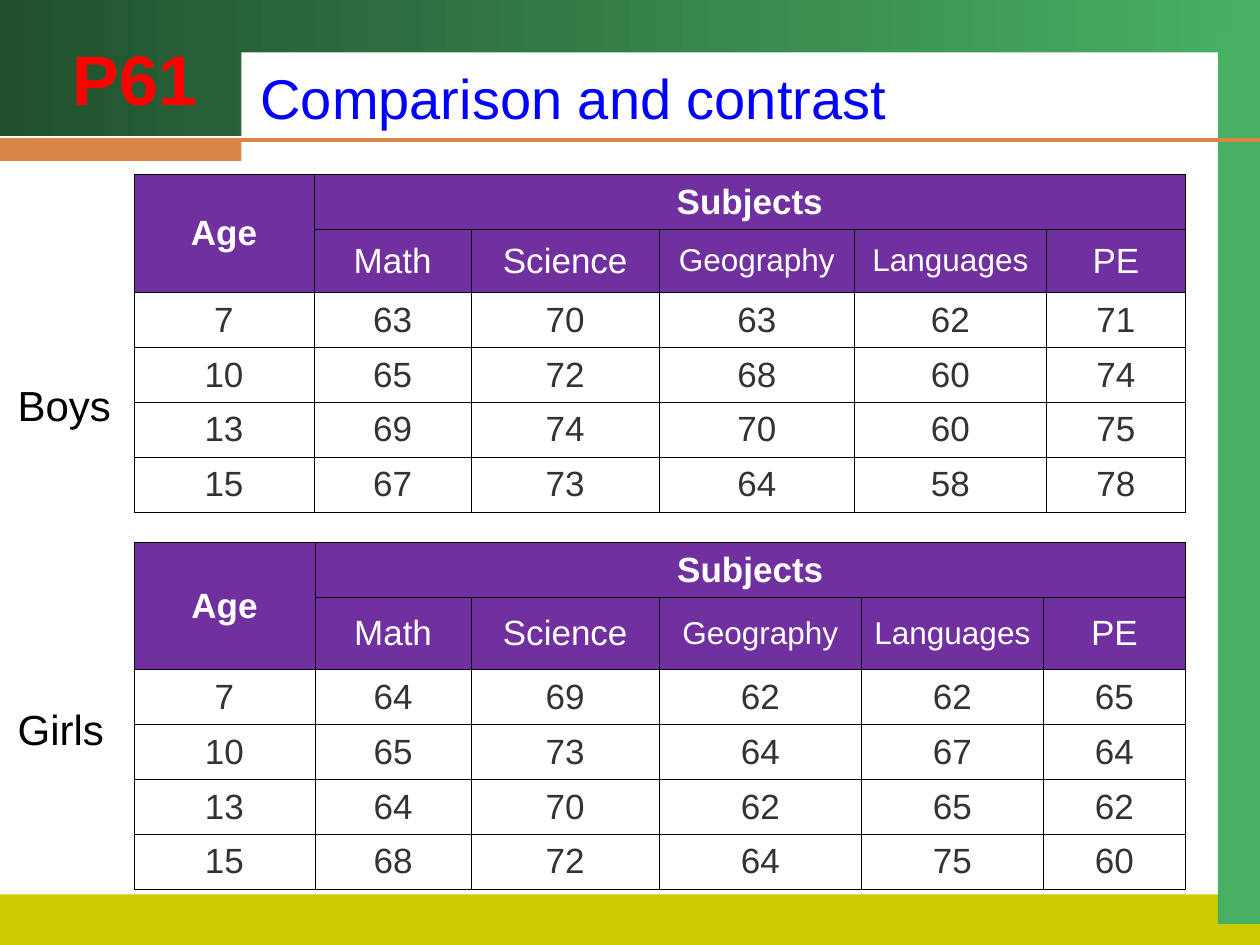
from pptx import Presentation
from pptx.dml.color import RGBColor
from pptx.enum.shapes import MSO_CONNECTOR, MSO_SHAPE
from pptx.enum.text import MSO_ANCHOR, PP_ALIGN
from pptx.oxml import parse_xml
from pptx.oxml.ns import nsdecls
from pptx.util import Pt

RECTANGLE = MSO_SHAPE.RECTANGLE
STRAIGHT = MSO_CONNECTOR.STRAIGHT
MIDDLE = MSO_ANCHOR.MIDDLE
CENTER = PP_ALIGN.CENTER

DARK_GREEN = RGBColor(0x21, 0x51, 0x2E)
GREEN = RGBColor(0x48, 0xB0, 0x63)
OLIVE = RGBColor(0xCC, 0xCC, 0x00)
ORANGE = RGBColor(0xDB, 0x86, 0x47)
PURPLE = RGBColor(0x70, 0x30, 0xA0)
RED = RGBColor(0xFF, 0x00, 0x00)
BLUE = RGBColor(0x00, 0x00, 0xFF)
WHITE = RGBColor(0xFF, 0xFF, 0xFF)
GRAY = RGBColor(0x33, 0x33, 0x33)
BLACK = RGBColor(0x00, 0x00, 0x00)

SUBJECTS = ["Math", "Science", "Geography", "Languages", "PE"]
LONG_SUBJECTS = ("Geography", "Languages")
BOYS = [
    [7, 63, 70, 63, 62, 71],
    [10, 65, 72, 68, 60, 74],
    [13, 69, 74, 70, 60, 75],
    [15, 67, 73, 64, 58, 78],
]
GIRLS = [
    [7, 64, 69, 62, 62, 65],
    [10, 65, 73, 64, 67, 64],
    [13, 64, 70, 62, 65, 62],
    [15, 68, 72, 64, 75, 60],
]


class SlideBuilder:
    """Draws styled elements on one slide, with lengths in points."""

    font_name = "Arial"
    row_height = 31.4
    border_width = 0.45

    def __init__(self, slide):
        self.slide = slide

    def style(self, paragraph, size, color, bold=False):
        font = paragraph.font
        font.name = self.font_name
        font.size = Pt(size)
        font.bold = bold
        font.color.rgb = color

    def bar(self, left, top, width, height, color, end_color=None):
        shape = self.slide.shapes.add_shape(
            RECTANGLE, Pt(left), Pt(top), Pt(width), Pt(height))
        shape.shadow.inherit = False
        shape.line.fill.background()
        if end_color is None:
            shape.fill.solid()
            shape.fill.fore_color.rgb = color
            return
        shape.fill.gradient()
        shape.fill.gradient_angle = 0
        for stop, stop_color in zip(shape.fill.gradient_stops, (color, end_color)):
            stop.color.rgb = stop_color

    def rule(self, left, top, right, color, width):
        connector = self.slide.shapes.add_connector(
            STRAIGHT, Pt(left), Pt(top), Pt(right), Pt(top))
        connector.line.color.rgb = color
        connector.line.width = Pt(width)
        connector._element.spPr.append(parse_xml(f"<a:effectLst {nsdecls('a')}/>"))

    def label(self, left, top, width, height, text, size, color, bold=False):
        shape = self.slide.shapes.add_textbox(Pt(left), Pt(top), Pt(width), Pt(height))
        frame = shape.text_frame
        frame.word_wrap = True
        frame.text = text
        self.style(frame.paragraphs[0], size, color, bold)

    def cell(self, cell, text, size, color, bold=False, fill=None):
        cell.text = str(text)
        cell.vertical_anchor = MIDDLE
        paragraph = cell.text_frame.paragraphs[0]
        paragraph.alignment = CENTER
        self.style(paragraph, size, color, bold)
        properties = cell._tc.get_or_add_tcPr()
        for side in "LRTB":
            properties.append(parse_xml(
                f'<a:ln{side} {nsdecls("a")} w="{Pt(self.border_width)}">'
                f'<a:solidFill><a:srgbClr val="{BLACK}"/></a:solidFill></a:ln{side}>'))
        if fill is None:
            cell.fill.background()
        else:
            cell.fill.solid()
            cell.fill.fore_color.rgb = fill

    def score_table(self, left, top, widths, subject_height, scores):
        heights = [self.row_height, subject_height] + [self.row_height] * len(scores)
        table = self.slide.shapes.add_table(
            len(heights), len(widths), Pt(left), Pt(top),
            Pt(sum(widths)), Pt(sum(heights))).table
        table.first_row = False
        table.horz_banding = False
        for column, width in zip(table.columns, widths):
            column.width = Pt(width)
        for row, height in zip(table.rows, heights):
            row.height = Pt(height)
        headers = [["Age", "Subjects", "", "", "", ""], [""] + SUBJECTS]
        for row_index, values in enumerate(headers + scores):
            for column_index, value in enumerate(values):
                cell = table.cell(row_index, column_index)
                if row_index < len(headers):
                    size = 18 if value in LONG_SUBJECTS else 20
                    self.cell(cell, value, size, WHITE, row_index == 0, PURPLE)
                else:
                    self.cell(cell, value, 20, GRAY)
        table.cell(0, 0).merge(table.cell(1, 0))
        table.cell(0, 1).merge(table.cell(0, len(SUBJECTS)))


def main():
    presentation = Presentation()
    presentation.slide_width = Pt(720)
    presentation.slide_height = Pt(540)
    builder = SlideBuilder(presentation.slides.add_slide(presentation.slide_layouts[6]))

    builder.bar(0, 0, 720, 77.75, DARK_GREEN, GREEN)
    builder.bar(0, 511, 720, 29, OLIVE)
    builder.bar(696, 18, 24, 510, GREEN)
    builder.bar(138, 30, 558, 54, WHITE)
    builder.rule(0, 80, 720, ORANGE, 2.25)
    builder.bar(0, 80, 138, 12, ORANGE)

    builder.label(34.5, 16.5, 92, 55.5, "P61", 40, RED, bold=True)
    builder.label(141.75, 32.5, 384, 46, "Comparison and contrast", 32, BLUE)
    builder.score_table(76.5, 99.75, [103, 89.75, 107.5, 111.5, 109.75, 79.5], 36, BOYS)
    builder.score_table(76.5, 310, [103.5, 89.25, 107.5, 115.5, 104, 81.25], 41.25, GIRLS)
    for top, text in ((213.25, "Boys"), (398.25, "Girls")):
        builder.label(3, top, 72, 36, text, 24, BLACK)

    presentation.save("out.pptx")


if __name__ == "__main__":
    main()
